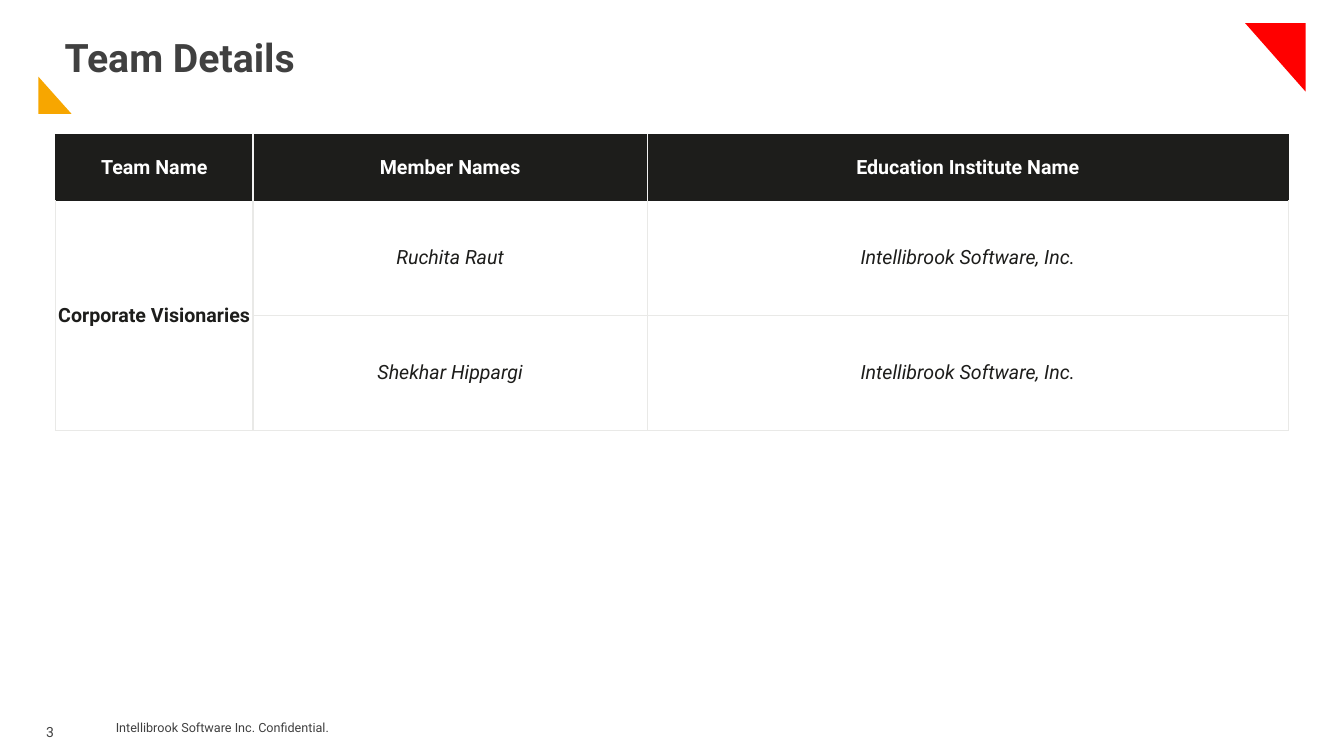
from lxml import etree
from pptx import Presentation
from pptx.dml.color import RGBColor
from pptx.enum.text import MSO_ANCHOR, MSO_AUTO_SIZE, PP_ALIGN
from pptx.oxml.ns import qn
from pptx.util import Inches, Pt

MIDDLE, TOP = MSO_ANCHOR.MIDDLE, MSO_ANCHOR.TOP
LEFT, CENTER = PP_ALIGN.LEFT, PP_ALIGN.CENTER
GROW, FIXED = MSO_AUTO_SIZE.SHAPE_TO_FIT_TEXT, MSO_AUTO_SIZE.NONE

TITLE = "Team Details"
FOOTER = "Intellibrook Software Inc. Confidential."
PAGE = "3"
HEADINGS = ["Team Name", "Member Names", "Education Institute Name"]
TEAM = "Corporate Visionaries"
MEMBERS = [
    ("Ruchita Raut", "Intellibrook Software, Inc."),
    ("Shekhar Hippargi", "Intellibrook Software, Inc."),
]

THEME = {
    "font": "Roboto", "gray": "404040", "ink": "1D1D1B", "white": "FFFFFF",
    "rule": "E9E9E7", "head_rule": "F2F2F2", "red": "FF0000", "amber": "F7A600",
    "title": 28, "table": 14, "footer": 9, "page": 10,
}

SLIDE_SIZE = (13.33, 7.5)
TABLE_LEFT, TABLE_TOP = 0.55, 1.34
COLUMNS = [1.96, 3.91, 6.36]
HEAD_ROW, MEMBER_ROW = 0.65, 1.14
CORNERS = [
    ("red", [(12.35, 0.23), (12.95, 0.23), (12.95, 0.91)]),
    ("amber", [(0.71, 1.13), (0.38, 1.13), (0.38, 0.76)]),
]


def color(role):
    return RGBColor.from_string(THEME[role])


def write(frame, text, size, ink="gray", bold=False, italic=False, align=LEFT,
          spacing=None, after=0):
    paragraph = frame.paragraphs[0]
    paragraph.alignment = align
    paragraph.space_after = Pt(after)
    if spacing:
        paragraph.line_spacing = spacing
    run = paragraph.add_run()
    run.text = text
    font = run.font
    font.name, font.size = THEME["font"], Pt(THEME[size])
    font.bold, font.italic = bold, italic
    font.color.rgb = color(ink)


def set_frame(frame, anchor=MIDDLE, insets=(0, 0), wrap=True, fit=FIXED):
    frame.word_wrap = wrap
    frame.auto_size = fit
    frame.vertical_anchor = anchor
    frame.margin_left = frame.margin_right = Inches(insets[0])
    frame.margin_top = frame.margin_bottom = Inches(insets[1])


def write_cell(cell, text, **style):
    """Centre text in a cell without insets."""
    cell.margin_left = cell.margin_right = cell.margin_top = cell.margin_bottom = 0
    cell.vertical_anchor = MIDDLE
    write(cell.text_frame, text, "table", align=CENTER, **style)


def border(cell, **sides):
    """Draw 1 pt cell edges, given in the order L, R, T, B."""
    properties = cell._tc.get_or_add_tcPr()
    for side, role in sides.items():
        line = etree.SubElement(properties, qn(f"a:ln{side}"), w=str(Pt(1)))
        fill = etree.SubElement(line, qn("a:solidFill"))
        etree.SubElement(fill, qn("a:srgbClr"), val=THEME[role])


def add_corner(slide, role, points):
    start, *others = [(Inches(x), Inches(y)) for x, y in points]
    builder = slide.shapes.build_freeform(*start)
    builder.add_line_segments(others, close=True)
    triangle = builder.convert_to_shape()
    triangle.shadow.inherit = False
    triangle.fill.solid()
    triangle.fill.fore_color.rgb = color(role)
    triangle.line.fill.background()


def add_team_table(slide):
    row_heights = [HEAD_ROW] + [MEMBER_ROW] * len(MEMBERS)
    table = slide.shapes.add_table(
        len(row_heights), len(COLUMNS), Inches(TABLE_LEFT), Inches(TABLE_TOP),
        Inches(sum(COLUMNS)), Inches(sum(row_heights))).table
    table.first_row = table.horz_banding = False
    for column, width in zip(table.columns, COLUMNS):
        column.width = Inches(width)
    for row, height in zip(table.rows, row_heights):
        row.height = Inches(height)

    last = len(COLUMNS) - 1
    for r in range(len(row_heights)):
        for c in range(len(COLUMNS)):
            cell = table.cell(r, c)
            if r == 0:
                border(cell, L="head_rule" if c else "ink",
                       R="head_rule" if c < last else "ink", T="ink", B="ink")
                cell.fill.solid()
                cell.fill.fore_color.rgb = color("ink")
            else:
                border(cell, L="rule", R="rule",
                       T="ink" if r == 1 else "rule", B="rule")
                cell.fill.background()

    for c, heading in enumerate(HEADINGS):
        write_cell(table.cell(0, c), heading, ink="white", bold=True)
    table.cell(1, 0).merge(table.cell(len(MEMBERS), 0))
    write_cell(table.cell(1, 0), TEAM, ink="ink", bold=True)
    for r, member in enumerate(MEMBERS, 1):
        for c, entry in enumerate(member, 1):
            write_cell(table.cell(r, c), entry, ink="ink", italic=True)


def main():
    deck = Presentation()
    deck.slide_width, deck.slide_height = map(Inches, SLIDE_SIZE)
    slide = deck.slides.add_slide(deck.slide_layouts[5])

    footer = slide.shapes.add_textbox(*map(Inches, (1.05, 7.05, 2.73, 0.34)))
    set_frame(footer.text_frame, insets=(0.1, 0.1))
    write(footer.text_frame, FOOTER, "footer")

    page = slide.shapes.add_textbox(*map(Inches, (0.36, 7.06, 0.37, 0.31)))
    set_frame(page.text_frame, anchor=TOP, insets=(0.1, 0.05), wrap=False, fit=GROW)
    write(page.text_frame, PAGE, "page", spacing=Pt(17), after=2)

    for role, points in CORNERS:
        add_corner(slide, role, points)

    title = slide.shapes.title
    title.left, title.top, title.width, title.height = map(
        Inches, (0.64, 0.38, 12.01, 0.42))
    set_frame(title.text_frame, fit=GROW)
    write(title.text_frame, TITLE, "title", bold=True, spacing=0.9)

    add_team_table(slide)
    deck.save("out.pptx")


if __name__ == "__main__":
    main()
